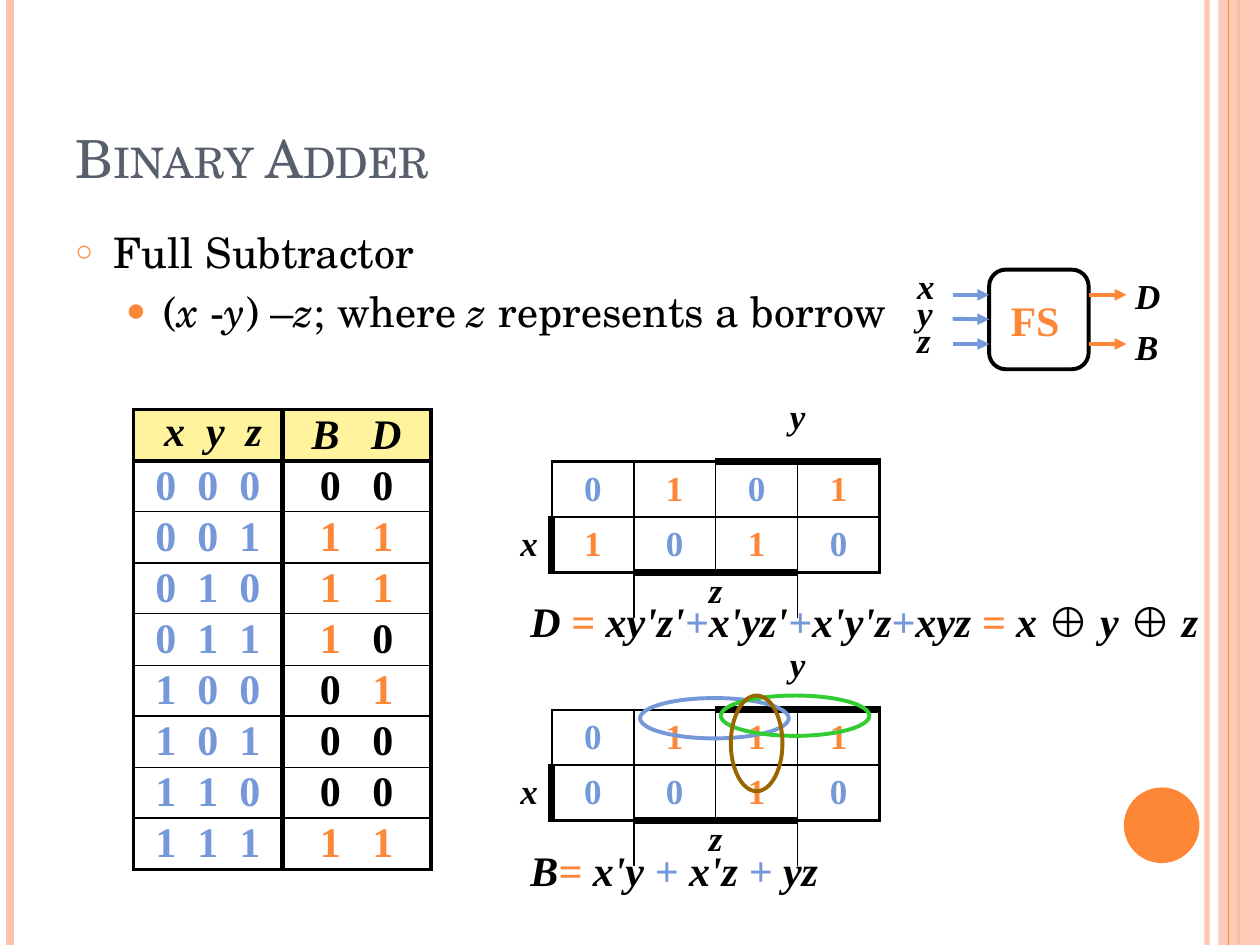
from lxml.etree import SubElement
from pptx import Presentation
from pptx.dml.color import RGBColor
from pptx.enum.shapes import MSO_CONNECTOR, MSO_SHAPE
from pptx.enum.text import MSO_ANCHOR, PP_ALIGN
from pptx.oxml.ns import qn
from pptx.util import Inches, Pt

BLACK, BLUE, ORANGE, PEACH = "000000", "7598D9", "FE8637", "FEC3AE"
GREEN, BROWN, CREAM, SLATE = "33CC33", "996600", "FFF39D", "575F6D"
SERIF, SCHOOL = "Times New Roman", "TeX Gyre Schola"
NO_STYLE = "{2D5ABB26-0587-4C30-8999-92F81FD0307C}"
MATH = dict(name=SERIF, bold=True)


def paint(fill, colour, opacity=None):
    fill.solid()
    fill.fore_color.rgb = RGBColor.from_string(colour)
    if opacity:
        # The colour element sits directly inside the solid fill.
        element = fill._xPr.find(qn("a:solidFill"))[0]
        SubElement(element, qn("a:alpha"), val=str(opacity * 1000))


def variable_style(char):
    return BLACK, char in "xyz"


def italic_style(char):
    return BLACK, True


def formula_style(char):
    return {"=": ORANGE, "+": BLUE}.get(char, BLACK), char != "⊕"


def input_style(char):
    return BLUE, False


def output_style(char):
    return (ORANGE if char == "1" else BLACK), False


def map_style(char):
    return {"0": BLUE, "1": ORANGE}.get(char, BLACK), char.isalpha()


def write(para, text, style_of, **font):
    """Add text in spans of one style; a space joins the span before it."""
    spans = []
    for char in text:
        style = style_of(char)
        if spans and (char == " " or style == spans[-1][1]):
            spans[-1][0] += char
        else:
            spans.append([char, style])
    for words, (colour, italic) in spans:
        span = para.add_run()
        span.text = words
        for name, value in dict(font, italic=italic).items():
            setattr(span.font, name, value)
        span.font.color.rgb = RGBColor.from_string(colour)


def set_insets(target, size=0):
    for side in ("left", "top", "right", "bottom"):
        setattr(target, f"margin_{side}", size)


def add_text(shapes, place, lines, style_of, size, wrap=True, **spacing):
    frame = shapes.add_textbox(*map(Inches, place)).text_frame
    set_insets(frame)
    frame.word_wrap = wrap
    for index, line in enumerate(lines):
        para = frame.paragraphs[0] if index == 0 else frame.add_paragraph()
        for name, value in spacing.items():
            setattr(para, name, value)
        write(para, line, style_of, size=Pt(size), **MATH)


def add_line(shapes, start, end, colour, width, opacity=None, arrow=False):
    line = shapes.add_connector(MSO_CONNECTOR.STRAIGHT, *map(Inches, start + end))
    line.line.width = Pt(width)
    paint(line.line.fill, colour, opacity)
    if arrow:
        SubElement(line.line._get_or_add_ln(), qn("a:tailEnd"), type="triangle")
    SubElement(line._element.spPr, qn("a:effectLst"))
    return line


def add_filled(shapes, kind, place, colour, opacity=None):
    shape = shapes.add_shape(kind, *map(Inches, place))
    shape.shadow.inherit = False
    paint(shape.fill, colour, opacity)
    shape.line.fill.background()


def add_outline(shapes, kind, place, colour):
    shape = shapes.add_shape(kind, *map(Inches, place))
    shape.shadow.inherit = False
    shape.fill.background()
    paint(shape.line.fill, colour)
    shape.line.width = Pt(2.25)
    return shape


def add_table(shapes, place, widths, heights):
    table = shapes.add_table(len(heights), len(widths), *map(Inches, place)).table
    table.first_row = table.horz_banding = False
    table._tbl.tblPr.find(qn("a:tableStyleId")).text = NO_STYLE
    for column, width in zip(table.columns, widths):
        column.width = Inches(width)
    for row, height in zip(table.rows, heights):
        row.height = Inches(height)
    for cell in table.iter_cells():
        set_insets(cell)
        cell.fill.background()
    return table


def set_borders(cell, **widths):
    """Draw black edges for the keys L, R, T and B; clear those not given."""
    properties = cell._tc.get_or_add_tcPr()
    for index, side in enumerate("LRTB"):
        width = widths.get(side, 0)
        edge = properties.makeelement(qn(f"a:ln{side}"), {"w": str(Pt(width))})
        if width:
            fill = SubElement(edge, qn("a:solidFill"))
            SubElement(fill, qn("a:srgbClr"), val=BLACK)
        else:
            SubElement(edge, qn("a:noFill"))
        properties.insert(index, edge)


def write_cell(cell, text, style_of, size, anchor=MSO_ANCHOR.MIDDLE):
    cell.vertical_anchor = anchor
    para = cell.text_frame.paragraphs[0]
    para.alignment = PP_ALIGN.CENTER
    write(para, text, style_of, size=Pt(size), **MATH)


def add_truth_table(shapes):
    outputs = ["0   0", "1   1", "1   1", "1   0", "0   1", "0   0", "0   0", "1   1"]
    rows = [(" x  y  z", "B   D")]
    rows += [("  ".join(f"{n:03b}"), out) for n, out in enumerate(outputs)]
    heights = [0.4 if n % 2 else 0.41 for n in range(len(rows))]
    table = add_table(shapes, (1.06, 3.25, 2.36, 3.65), [1.18] * 2, heights)
    last = len(rows) - 1
    for r, texts in enumerate(rows):
        for c, text in enumerate(texts):
            cell = table.cell(r, c)
            style = (input_style, output_style)[c] if r else italic_style
            anchor = MSO_ANCHOR.MIDDLE if r or c else MSO_ANCHOR.TOP
            write_cell(cell, text, style, 24, anchor)
            if r == 0:
                paint(cell.fill, CREAM)
            set_borders(cell, L=3 if c else 2.25, R=2.25 if c else 3,
                        T={0: 2.25, 1: 3}.get(r, 1), B={0: 3, last: 2.25}.get(r, 1))


def add_karnaugh_map(shapes, top, values):
    table = add_table(shapes, (4.02, top, 2.95, 1.57), [0.18] * 2 + [0.65] * 4,
                      [0.17] * 2 + [0.44] * 2 + [0.18] * 2)
    for r, line in enumerate(values, 2):
        for c, value in enumerate(line, 2):
            write_cell(table.cell(r, c), value, map_style, 20)
            bottom = 4.5 if c in (3, 4) else 1.5
            set_borders(table.cell(r, c),
                        L=1 if c > 2 else (1.5 if r == 2 else 4.5),
                        R=1.5 if c == 5 else 1,
                        T=1 if r == 3 else (1.5 if c < 4 else 4.5),
                        B=1 if r == 2 else bottom)
    outer = {(0, 2): dict(B=1.5), (1, 3): dict(B=1.5), (0, 4): dict(B=4.5),
             (2, 1): dict(R=1.5), (3, 0): dict(R=4.5), (4, 2): dict(R=1, T=1.5),
             (4, 3): dict(L=1, R=1, T=4.5), (4, 5): dict(L=1, T=1.5)}
    for position, widths in outer.items():
        set_borders(table.cell(*position), **widths)
    write_cell(table.cell(0, 4), "y", map_style, 20, MSO_ANCHOR.TOP)
    write_cell(table.cell(3, 0), "x", map_style, 20)
    write_cell(table.cell(4, 3), "z", map_style, 20, MSO_ANCHOR.TOP)
    for r, c, rows, columns in [(0, 0, 2, 2), (0, 2, 2, 1), (0, 4, 2, 2),
                                (3, 0, 1, 2), (4, 0, 2, 2), (4, 3, 2, 2)]:
        table.cell(r, c).merge(table.cell(r + rows - 1, c + columns - 1))
    # A small font in the empty cells lets the thin rows keep their height.
    for cell in table.iter_cells():
        if not cell.text:
            para = cell.text_frame.paragraphs[0]._p
            SubElement(para, qn("a:endParaRPr"), sz="800")


def add_subtractor_block(shapes):
    group = shapes.add_group_shape().shapes
    box = add_outline(group, MSO_SHAPE.ROUNDED_RECTANGLE, (7.85, 2.14, 0.79, 0.79), BLACK)
    for y in (2.34, 2.53, 2.73):
        arrow = add_line(group, (7.56, y), (7.85, y), BLUE, 2.25, arrow=True)
        if y == 2.53:
            arrow.end_connect(box, 1)
    for y in (2.34, 2.73):
        add_line(group, (8.64, y), (8.94, y), ORANGE, 2.25, arrow=True)
    add_text(group, (8.02, 2.34, 0.39, 0.4), ["FS"], lambda char: (ORANGE, False), 24, wrap=False)
    add_text(group, (7.28, 2.2, 0.2, 0.65), "xyz", italic_style, 20, line_spacing=0.65)
    add_text(group, (9.01, 2.18, 0.2, 0.76), "DB", italic_style, 20, space_before=Pt(5))


def add_frame_decor(shapes):
    add_line(shapes, (9.58, 0), (9.58, 7.5), PEACH, 3, 93)
    add_line(shapes, (0.08, 0), (0.08, 7.5), PEACH, 4.5)
    add_line(shapes, (9.83, 0), (9.83, 7.5), ORANGE, 1.5)
    add_filled(shapes, MSO_SHAPE.RECTANGLE, (9.67, 0, 0.33, 7.5), PEACH, 87)
    add_line(shapes, (9.75, 0), (9.75, 7.5), ORANGE, 0.75)
    add_filled(shapes, MSO_SHAPE.OVAL, (8.92, 6.25, 0.6, 0.6), ORANGE)


def format_title(title):
    title.left, title.top, title.width, title.height = map(Inches, (0.5, 0.3, 8.42, 1.25))
    title.text_frame.vertical_anchor = MSO_ANCHOR.BOTTOM
    para = title.text_frame.paragraphs[0]
    para.alignment = PP_ALIGN.LEFT
    write(para, "Binary Adder", lambda char: (SLATE, False), name=SCHOOL, size=Pt(30))
    for span in para.runs:
        span.font._element.set("cap", "small")


def add_bullets(shapes):
    frame = shapes.add_textbox(*map(Inches, (0.5, 1.75, 8.42, 5.33))).text_frame
    frame.word_wrap = True
    items = [("Full Subtractor", "○", 70, 0.3, 6),
             ("(x -y) –z; where z represents a borrow", "●", 80, 0.7, 4.8)]
    for level, (text, mark, percent, indent, gap) in enumerate(items):
        para = frame.add_paragraph() if level else frame.paragraphs[0]
        para.level = level
        para.space_before = Pt(gap)
        properties = para._p.get_or_add_pPr()
        properties.set("marL", str(Inches(indent)))
        properties.set("indent", str(-Inches(0.3)))
        colour = SubElement(properties, qn("a:buClr"))
        SubElement(colour, qn("a:srgbClr"), val=ORANGE)
        SubElement(properties, qn("a:buSzPct"), val=str(percent * 1000))
        SubElement(properties, qn("a:buFont"), typeface=SERIF)
        SubElement(properties, qn("a:buChar"), char=mark)
        write(para, text, variable_style, name=SCHOOL, size=Pt(24))


def main():
    deck = Presentation()
    deck.slide_width, deck.slide_height = Inches(10), Inches(7.5)
    page = deck.slides.add_slide(deck.slide_layouts[5])
    shapes = page.shapes
    add_frame_decor(shapes)
    format_title(shapes.title)
    add_bullets(shapes)
    add_truth_table(shapes)
    add_subtractor_block(shapes)
    add_karnaugh_map(shapes, 3.16, ("0101", "1010"))
    add_karnaugh_map(shapes, 5.13, ("0111", "0010"))
    for place, colour in [((5.08, 5.54, 1.18, 0.32), BLUE),
                          ((5.72, 5.52, 1.18, 0.32), GREEN),
                          ((5.8, 5.52, 0.41, 0.76), BROWN)]:
        add_outline(shapes, MSO_SHAPE.OVAL, place, colour)
    difference = "D = xy'z'+x'yz'+x'y'z+xyz = x ⊕ y ⊕ z"
    add_text(shapes, (4.21, 4.73, 5.54, 0.4), [difference], formula_style, 24)
    add_text(shapes, (4.21, 6.7, 2.64, 0.4), ["B= x'y + x'z + yz"], formula_style, 24)
    deck.save("out.pptx")


if __name__ == "__main__":
    main()
